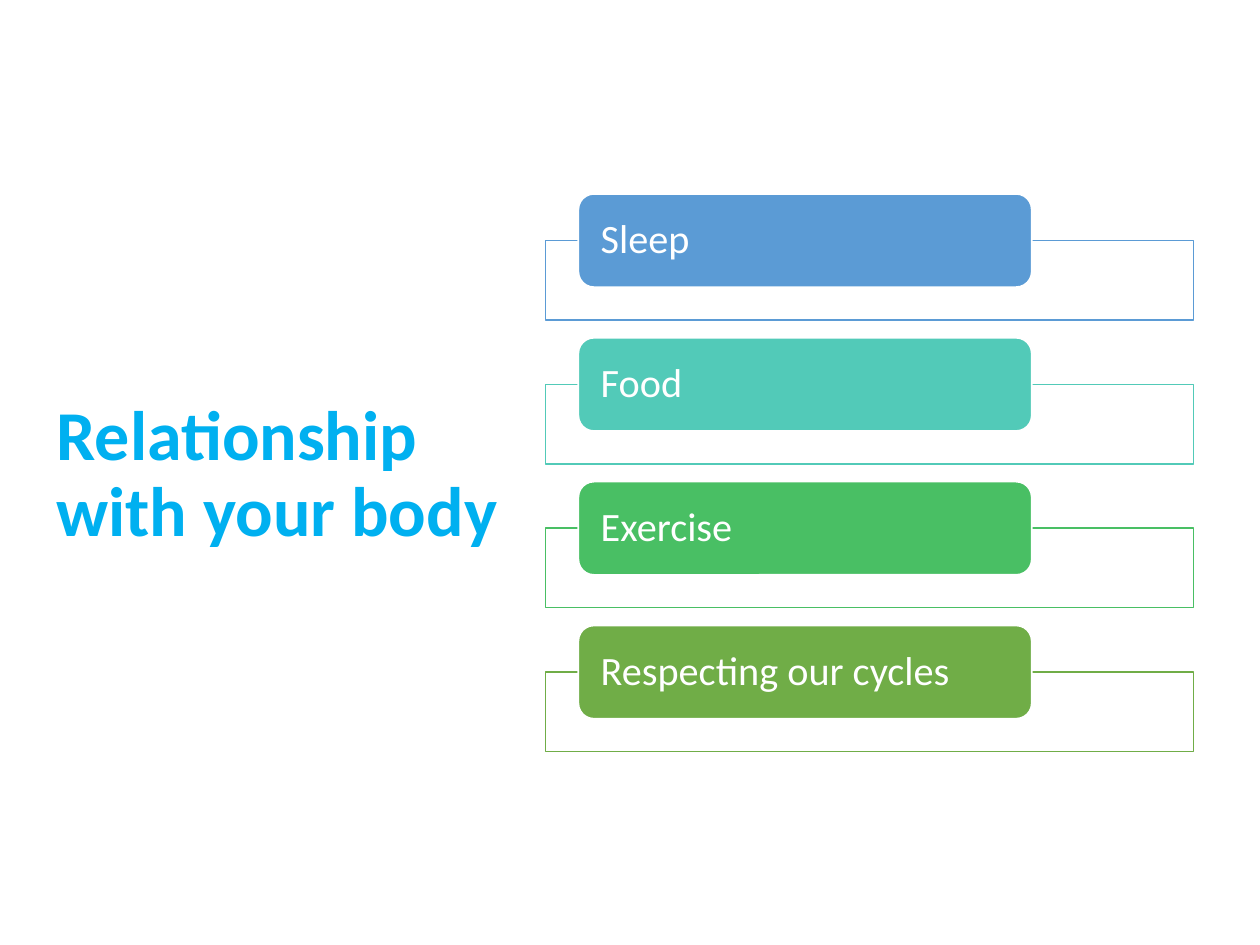
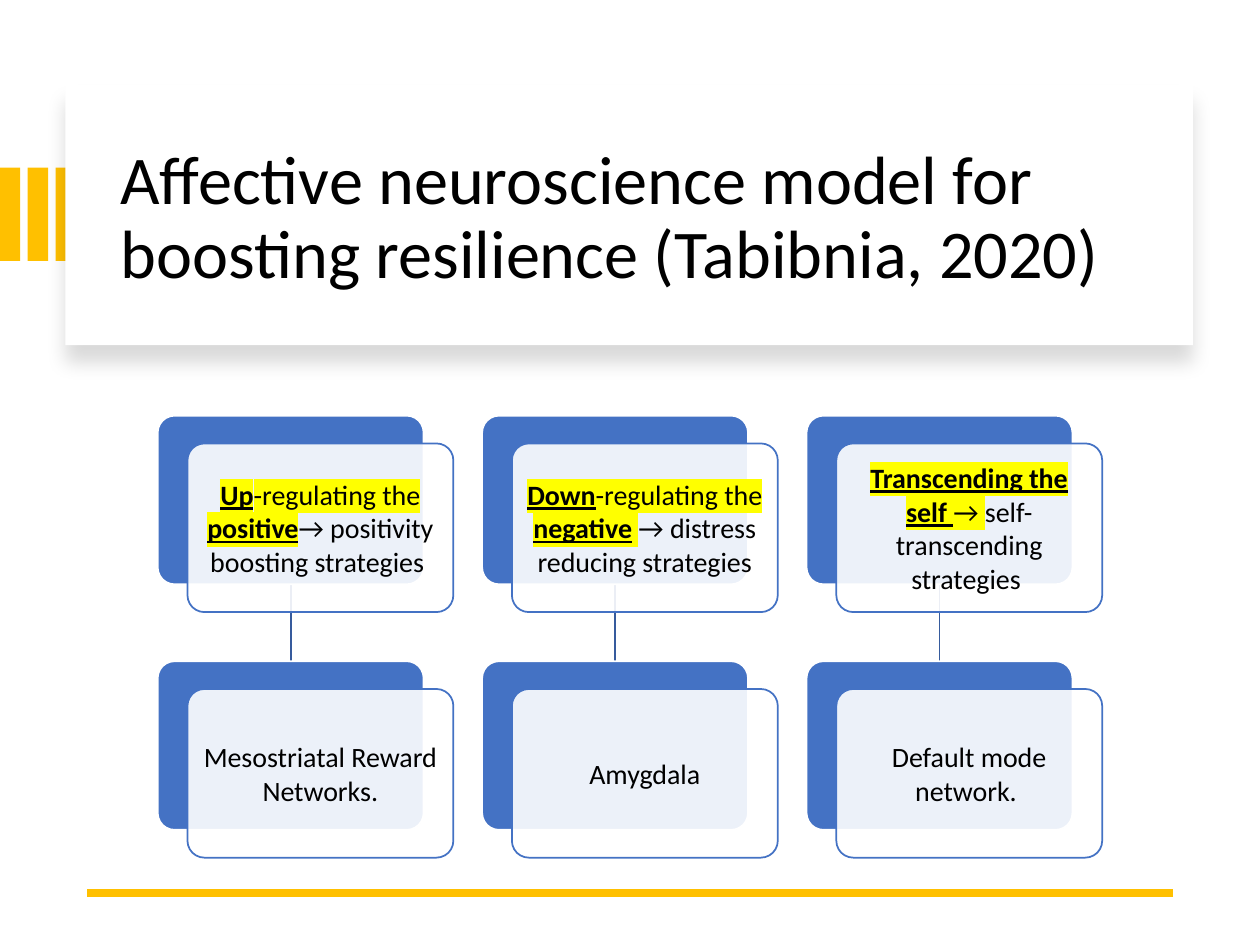
from typing import NamedTuple

from lxml import etree
from pptx import Presentation
from pptx.dml.color import RGBColor
from pptx.enum import shapes, text
from pptx.oxml.ns import qn
from pptx.util import Cm, Pt

FONT = "Calibri"
WHITE, BLACK = "FFFFFF", "000000"
SKY, GOLD, MARK = "00B0F0", "FFC000", "FFFF00"
BLUE, NAVY = "4472C4", "365B9D"
RECT = shapes.MSO_SHAPE.RECTANGLE
ROUND = shapes.MSO_SHAPE.ROUNDED_RECTANGLE


class Box(NamedTuple):
    x: float
    y: float
    w: float
    h: float

    def shift(self, dx: float, dy: float) -> "Box":
        return Box(self.x + dx, self.y + dy, self.w, self.h)


class Topic(NamedTuple):
    label: str
    color: str


class Part(NamedTuple):
    words: str
    strong: bool = False
    marked: bool = False


class Pair(NamedTuple):
    skill: list[Part]
    brain: list[Part]


TOPICS = [
    Topic("Sleep", "5B9BD5"),
    Topic("Food", "52CAB8"),
    Topic("Exercise", "49BF64"),
    Topic("Respecting our cycles", "70AD47"),
]
PAIRS = [
    Pair([Part("Up", True, True), Part("-regulating the ", False, True),
          Part("positive", True, True),
          Part("→ positivity boosting strategies ")],
         [Part("Mesostriatal Reward Networks.")]),
    Pair([Part("Down", True, True), Part("-regulating the ", False, True),
          Part("negative", True, True), Part(" ", False, True),
          Part("→ distress reducing strategies")],
         [Part("Amygdala")]),
    Pair([Part("Transcending the self ", True, True), Part("→ ", False, True),
          Part("self-transcending strategies ")],
         [Part("Default mode network. ")]),
]


# Shared helpers
def rgb(code: str) -> RGBColor:
    return RGBColor.from_string(code)


def style(font, size: float, color: str, bold: bool = False) -> None:
    font.name, font.size, font.bold = FONT, Pt(size), bold
    font.color.rgb = rgb(color)


def place(shape, box: Box) -> None:
    shape.left, shape.top, shape.width, shape.height = map(Cm, box)


def fade(shape, share: int) -> None:
    """Set the opacity of a solid fill in percent."""
    tint = shape.fill._xPr.find(qn("a:solidFill"))[0]
    etree.SubElement(tint, qn("a:alpha"), val=str(share * 1000))


def block(slide, kind, box: Box, fill: str, line: str = ""):
    shape = slide.shapes.add_shape(kind, *map(Cm, box))
    shape.shadow.inherit = False
    shape.fill.solid()
    shape.fill.fore_color.rgb = rgb(fill)
    if line:
        shape.line.color.rgb = rgb(line)
        shape.line.width = Pt(1)
    else:
        shape.line.fill.background()
    return shape


def rule(slide, start: tuple, end: tuple, color: str, width: float) -> None:
    line = slide.shapes.add_connector(
        shapes.MSO_CONNECTOR.STRAIGHT, *map(Cm, start + end))
    line.line.color.rgb = rgb(color)
    line.line.width = Pt(width)
    etree.SubElement(line.element.spPr, qn("a:effectLst"))


def frame(shape, side: float, edge: float):
    body = shape.text_frame
    body.word_wrap = True
    body.vertical_anchor = text.MSO_ANCHOR.MIDDLE
    body.margin_left = body.margin_right = Cm(side)
    body.margin_top = body.margin_bottom = Cm(edge)
    return body


def head(slide, words: str, box: Box, size: float, color: str,
         bold: bool = False) -> None:
    """Fill the title placeholder and bring it to the front."""
    title = slide.shapes.title
    place(title, box)
    body = frame(title, 0.25, 0.13)
    body.auto_size = text.MSO_AUTO_SIZE.NONE
    body.text = words
    para = body.paragraphs[0]
    para.alignment = text.PP_ALIGN.LEFT
    para.line_spacing = 0.9
    style(para.runs[0].font, size, color, bold)
    title.element.getparent().append(title.element)


# Slide 1: list of topics
def pill(slide, topic: Topic, drop: float) -> None:
    back = block(slide, RECT, Box(11, 4.85, 13.06, 1.6).shift(0, drop),
                 WHITE, topic.color)
    fade(back, 90)
    tab = block(slide, ROUND, Box(11.66, 3.91, 9.14, 1.88).shift(0, drop),
                topic.color, WHITE)
    body = frame(tab, 0.36, 0)
    body.text = topic.label
    para = body.paragraphs[0]
    para.alignment = text.PP_ALIGN.LEFT
    para.line_spacing = 0.9
    style(para.runs[0].font, 23, WHITE)


def care(slide) -> None:
    head(slide, "Relationship with your body",
         Box(0.89, 3.86, 10.11, 11.46), 40, SKY, True)
    for row, topic in enumerate(TOPICS):
        pill(slide, topic, row * 2.9)


# Slide 2: strategies and brain networks
def panel(slide) -> None:
    shape = block(slide, RECT, Box(1.32, 1.7, 22.73, 5.26), WHITE)
    glow = etree.SubElement(
        shape.element.spPr.find(qn("a:effectLst")), qn("a:outerShdw"),
        blurRad=str(Pt(11)), dist=str(Pt(10)), dir="5400000",
        algn="t", rotWithShape="0")
    tint = etree.SubElement(glow, qn("a:srgbClr"), val=BLACK)
    etree.SubElement(tint, qn("a:alpha"), val="15000")


def write(para, part: Part) -> None:
    run = para.add_run()
    run.text = part.words
    style(run.font, 16, BLACK, part.strong)
    run.font.underline = part.strong
    if part.marked:
        mark = etree.Element(qn("a:highlight"))
        etree.SubElement(mark, qn("a:srgbClr"), val=MARK)
        run.font._rPr.find(qn("a:solidFill")).addnext(mark)


def card(slide, box: Box, parts: list[Part]) -> None:
    back = block(slide, ROUND, box, BLUE, WHITE)
    front = block(slide, ROUND, box.shift(0.6, 0.56), WHITE, BLUE)
    fade(front, 90)
    for shape in (back, front):
        shape.adjustments[0] = 0.1
    para = frame(front, 0.18, 0.18).paragraphs[0]
    para.alignment = text.PP_ALIGN.CENTER
    for part in parts:
        write(para, part)


def model(slide) -> None:
    for col in range(3):
        block(slide, RECT, Box(col * 0.56, 3.38, 0.41, 1.88), GOLD)
    panel(slide)
    head(slide,
         "Affective neuroscience model for boosting resilience (Tabibnia, 2020)",
         Box(2.18, 2.26, 21.18, 4.32), 39, BLACK)
    rule(slide, (23.65, 18.01), (1.75, 18.01), GOLD, 4.5)

    first, step, fall = Box(3.18, 8.38, 5.36, 3.4), 6.54, 4.95
    for col, pair in enumerate(PAIRS):
        top = first.shift(col * step, 0)
        low = top.shift(0, fall)
        mid = top.x + top.w / 2
        rule(slide, (mid, top.y + top.h), (mid, low.y), NAVY, 1)
        card(slide, top, pair.skill)
        card(slide, low, pair.brain)


def main() -> None:
    deck = Presentation()
    deck.slide_width, deck.slide_height = Cm(25.4), Cm(19.05)
    for build in (care, model):
        build(deck.slides.add_slide(deck.slide_layouts[5]))
    deck.save("out.pptx")


if __name__ == "__main__":
    main()
